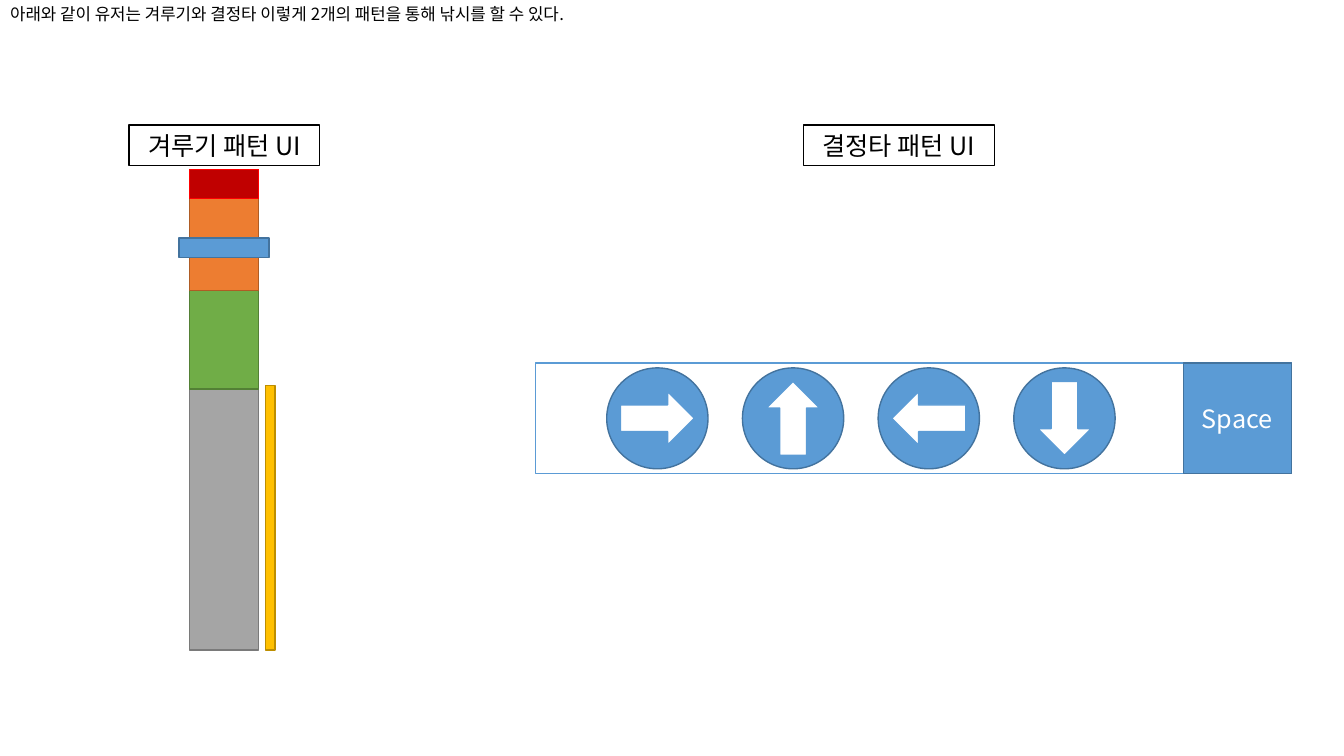
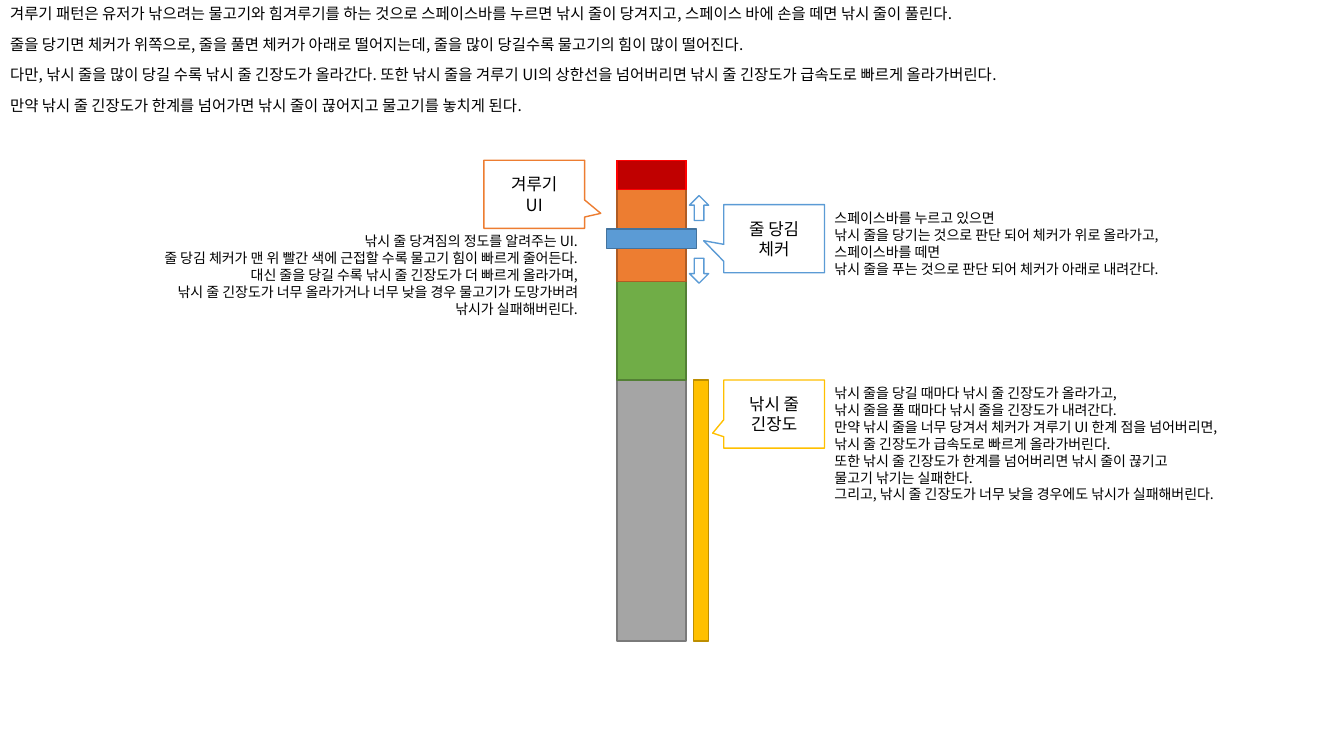
from dataclasses import dataclass

from lxml.etree import SubElement
from pptx import Presentation
from pptx.dml.color import RGBColor
from pptx.enum.shapes import MSO_SHAPE
from pptx.enum.text import MSO_ANCHOR, MSO_AUTO_SIZE, PP_ALIGN
from pptx.oxml.ns import qn
from pptx.util import Inches, Pt

FONT = "Noto Sans CJK KR"
COLORS = {
    "black": "000000", "white": "FFFFFF",
    "gray": "A5A5A5", "gray_edge": "7A7A7A",
    "green": "70AD47", "green_edge": "538035",
    "orange": "ED7D31", "orange_edge": "AF5C24",
    "red": "C00000", "red_edge": "FF0000",
    "blue": "5B9BD5", "blue_edge": "43739E",
    "gold": "FFC000", "gold_edge": "BD8E00",
}
GAUGE_ZONES = [("gray", 100), ("green", 45.7), ("orange", 25.2), ("red", 6.1)]
KEY_ROTATIONS = [0, 270, 180, 90]
FITTED = {"word_wrap": False, "auto_size": MSO_AUTO_SIZE.SHAPE_TO_FIT_TEXT}
CENTERED = {"word_wrap": True, "vertical_anchor": MSO_ANCHOR.MIDDLE}

FISHING_INTRO = ["아래와 같이 유저는 겨루기와 결정타 이렇게 2개의 패턴을 통해 낚시를 할 수 있다."]
STRUGGLE_INTRO = [
    "겨루기 패턴은 유저가 낚으려는 물고기와 힘겨루기를 하는 것으로 스페이스바를 누르면 낚시 줄이 당겨지고, 스페이스 바에 손을 떼면 낚시 줄이 풀린다.",
    "줄을 당기면 체커가 위쪽으로, 줄을 풀면 체커가 아래로 떨어지는데, 줄을 많이 당길수록 물고기의 힘이 많이 떨어진다.",
    "다만, 낚시 줄을 많이 당길 수록 낚시 줄 긴장도가 올라간다. 또한 낚시 줄을 겨루기 UI의 상한선을 넘어버리면 낚시 줄 긴장도가 급속도로 빠르게 올라가버린다.",
    "만약 낚시 줄 긴장도가 한계를 넘어가면 낚시 줄이 끊어지고 물고기를 놓치게 된다.",
]
STRUGGLE_NOTE = [
    "낚시 줄 당겨짐의 정도를 알려주는 UI.",
    "줄 당김 체커가 맨 위 빨간 색에 근접할 수록 물고기 힘이 빠르게 줄어든다.",
    "대신 줄을 당길 수록 낚시 줄 긴장도가 더 빠르게 올라가며,",
    "낚시 줄 긴장도가 너무 올라가거나 너무 낮을 경우 물고기가 도망가버려",
    "낚시가 실패해버린다.",
]
CHECKER_NOTE = [
    "스페이스바를 누르고 있으면",
    "낚시 줄을 당기는 것으로 판단 되어 체커가 위로 올라가고,",
    "스페이스바를 떼면",
    "낚시 줄을 푸는 것으로 판단 되어 체커가 아래로 내려간다.",
]
TENSION_NOTE = [
    "낚시 줄을 당길 때마다 낚시 줄 긴장도가 올라가고,",
    "낚시 줄을 풀 때마다 낚시 줄을 긴장도가 내려간다.",
    "만약 낚시 줄을 너무 당겨서 체커가 겨루기 UI 한계 점을 넘어버리면,",
    "낚시 줄 긴장도가 급속도로 빠르게 올라가버린다.",
    "또한 낚시 줄 긴장도가 한계를 넘어버리면 낚시 줄이 끊기고",
    "물고기 낚기는 실패한다.",
    "그리고, 낚시 줄 긴장도가 너무 낮을 경우에도 낚시가 실패해버린다.",
]


@dataclass
class Box:
    """A rectangle whose inner boxes are given in percent of its size."""
    left: float
    top: float
    width: float
    height: float

    def inner(self, x, y, width, height):
        """Return the box at these percentages of this one."""
        return Box(self.left + self.width * x / 100, self.top + self.height * y / 100,
                   self.width * width / 100, self.height * height / 100)

    def emu(self):
        """Return left, top, width and height as whole lengths."""
        return [Inches(side) for side in (self.left, self.top, self.width, self.height)]


PAGE = Box(0, 0, 13.33, 7.5)


def apply(target, formats):
    """Set each attribute of target named in formats."""
    for key, value in formats.items():
        setattr(target, key, value)


def write(frame, lines, size, color="black", frame_format=None, **paragraph_format):
    """Fill a text frame with one paragraph per line."""
    apply(frame, frame_format or {})
    frame.text = "\n".join(lines)
    for paragraph in frame.paragraphs:
        apply(paragraph, paragraph_format)
        for run in paragraph.runs:
            run.font.color.rgb = RGBColor.from_string(COLORS[color])
            apply(run.font, {"name": FONT, "size": Pt(size)})
            SubElement(run.font._element, qn("a:ea")).set("typeface", FONT)


def add_block(shapes, kind, box, fill, edge, rotation=0):
    """Add a filled and outlined preset shape."""
    block = shapes.add_shape(kind, *box.emu())
    block.shadow.inherit = False
    block.rotation = rotation
    block.fill.solid()
    block.fill.fore_color.rgb = RGBColor.from_string(COLORS[fill])
    block.line.color.rgb = RGBColor.from_string(COLORS[edge])
    block.line.width = Pt(1)
    return block


def add_page(deck, lines, size, share):
    """Add a slide with its introduction along the top."""
    slide = deck.slides.add_slide(deck.slide_layouts[1])
    title, intro = slide.placeholders
    title._element.getparent().remove(title._element)
    left, top, width, height = PAGE.inner(0, 0.13, 100, share).emu()
    apply(intro, {"left": left, "top": top, "width": width, "height": height})
    write(intro.text_frame, lines, size, frame_format={"auto_size": MSO_AUTO_SIZE.NONE},
          line_spacing=0.9, space_before=Pt(10))
    for paragraph in intro.text_frame.paragraphs:
        properties = paragraph._p.get_or_add_pPr()
        properties.set("marL", "0")
        properties.set("indent", "0")
        SubElement(properties, qn("a:buNone"))
    return slide


def add_gauge(slide, box, tension_top, tension_width):
    """Draw the struggle gauge with its checker and tension bar."""
    pieces = slide.shapes.add_group_shape().shapes
    for zone, share in GAUGE_ZONES:
        add_block(pieces, MSO_SHAPE.RECTANGLE, box.inner(0, 0, 100, share), zone, f"{zone}_edge")
    add_block(pieces, MSO_SHAPE.RECTANGLE, box.inner(-15, 14.3, 130, 4), "blue", "blue_edge")
    tension = box.inner(110.3, tension_top, tension_width, 100 - tension_top)
    add_block(pieces, MSO_SHAPE.RECTANGLE, tension, "gold", "gold_edge")


def add_key_strip(slide, box):
    """Draw the strip of arrow keys that ends in the space key."""
    pieces = slide.shapes.add_group_shape().shapes
    add_block(pieces, MSO_SHAPE.RECTANGLE, box, "white", "blue")
    for index, rotation in enumerate(KEY_ROTATIONS):
        key = box.inner(9.45 + 17.95 * index, 4.5, 13.4, 91)
        add_block(pieces, MSO_SHAPE.OVAL, key, "blue", "blue_edge")
        add_block(pieces, MSO_SHAPE.RIGHT_ARROW, key.inner(13.5, 23.5, 73, 53),
                  "white", "blue", rotation)
    space = add_block(pieces, MSO_SHAPE.RECTANGLE, box.inner(85.7, 0, 14.3, 100),
                      "blue", "blue_edge")
    write(space.text_frame, ["Space"], 18, "white", CENTERED, alignment=PP_ALIGN.CENTER)


def add_heading(slide, box, words):
    """Add the framed name of a pattern."""
    heading = add_block(slide.shapes, MSO_SHAPE.RECTANGLE, box, "white", "black")
    write(heading.text_frame, [words], 18, frame_format=FITTED, alignment=PP_ALIGN.CENTER)


def add_callout(slide, box, lines, edge, tip):
    """Add a callout whose tip is given as shares from its centre."""
    callout = add_block(slide.shapes, MSO_SHAPE.RECTANGULAR_CALLOUT, box, "white", edge)
    for index, share in enumerate(tip):
        callout.adjustments[index] = share
    write(callout.text_frame, lines, 12, frame_format=CENTERED, alignment=PP_ALIGN.CENTER)


def add_note(slide, box, lines, alignment=PP_ALIGN.LEFT):
    """Add the explanation of a callout."""
    note = slide.shapes.add_textbox(*box.emu())
    write(note.text_frame, lines, 10, frame_format=FITTED, alignment=alignment)


def add_checker_arrows(slide, box):
    """Draw the arrows above and below the checker."""
    pieces = slide.shapes.add_group_shape().shapes
    for kind, top in ((MSO_SHAPE.UP_ARROW, 0), (MSO_SHAPE.DOWN_ARROW, 71.5)):
        add_block(pieces, kind, box.inner(0, top, 100, 28.5), "white", "blue")


def build_overview(deck):
    """Build the slide that shows both patterns."""
    slide = add_page(deck, FISHING_INTRO, 12, 11.2)
    add_gauge(slide, PAGE.inner(14.1, 22.4, 5.15, 63.6), 45, 13.2)
    add_key_strip(slide, PAGE.inner(39.83, 48, 56.25, 14.67))
    for left, words in ((9.6, "겨루기 패턴 UI"), (59.78, "결정타 패턴 UI")):
        add_heading(slide, PAGE.inner(left, 16.53, 14.2, 5.33), words)


def build_struggle(deck):
    """Build the slide that explains the struggle pattern."""
    slide = add_page(deck, STRUGGLE_INTRO, 11, 19.6)
    add_gauge(slide, PAGE.inner(45.9, 21.2, 5.15, 63.6), 45.7, 22)
    callouts = [
        (36, 21.2, ["겨루기", "UI"], "orange", (0.66, 0.28)),
        (53.85, 50.27, ["낚시 줄", "긴장도"], "gold", (-0.61, 0.28)),
        (53.85, 27.07, ["줄 당김", "체커"], "blue", (-0.7, 0.03)),
    ]
    for left, top, lines, edge, tip in callouts:
        add_callout(slide, PAGE.inner(left, top, 7.5, 9), lines, edge, tip)
    add_note(slide, PAGE.inner(61.35, 27.07, 28.9, 10.27), CHECKER_NOTE)
    add_note(slide, PAGE.inner(61.35, 50.27, 33.83, 17.07), TENSION_NOTE)
    add_note(slide, PAGE.inner(7.05, 30.13, 36.68, 12.53), STRUGGLE_NOTE, PP_ALIGN.RIGHT)
    add_checker_arrows(slide, PAGE.inner(51.3, 25.87, 1.43, 11.6))


def main():
    """Build the deck and save it."""
    deck = Presentation()
    apply(deck, {"slide_width": Inches(PAGE.width), "slide_height": Inches(PAGE.height)})
    build_overview(deck)
    build_struggle(deck)
    deck.save("out.pptx")


if __name__ == "__main__":
    main()
